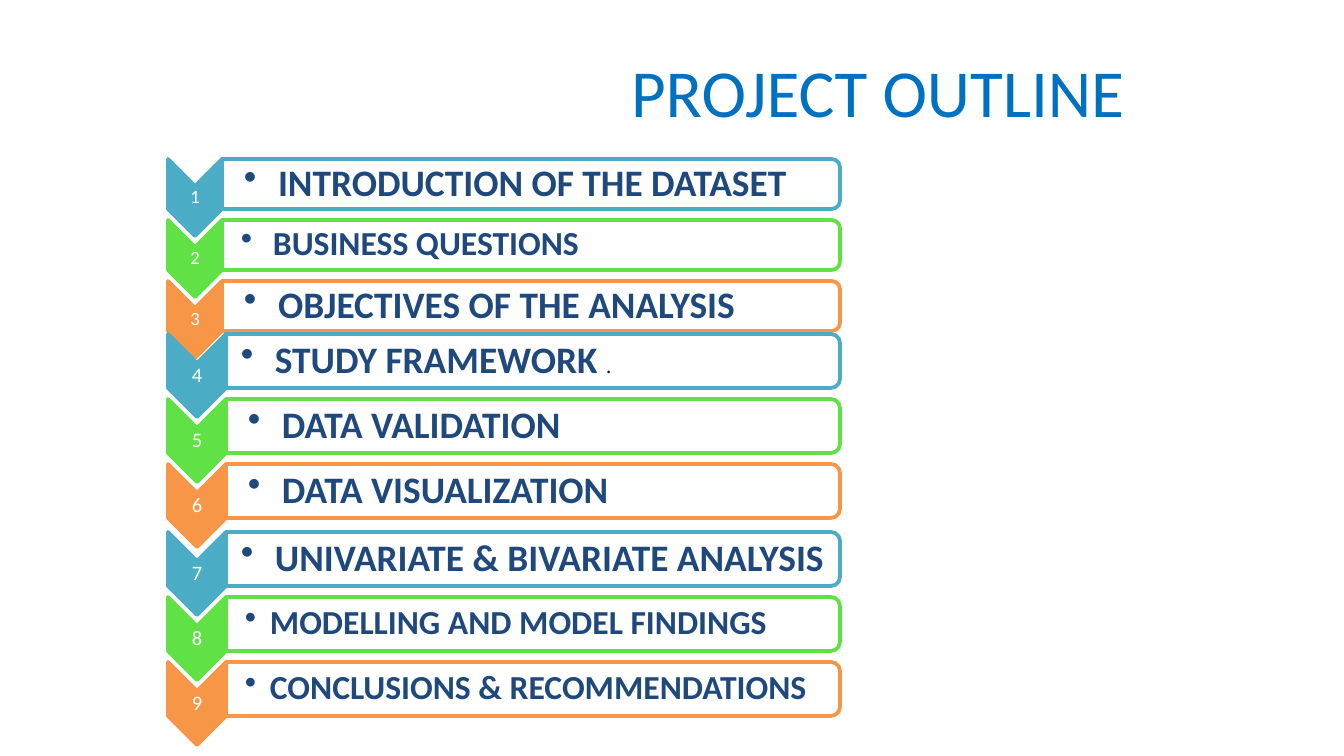
from lxml import etree
from pptx import Presentation
from pptx.dml.color import RGBColor
from pptx.enum.shapes import MSO_SHAPE
from pptx.enum.text import MSO_ANCHOR, PP_ALIGN
from pptx.oxml.ns import qn
from pptx.util import Emu, Pt

CHEVRON, BAR = MSO_SHAPE.CHEVRON, MSO_SHAPE.ROUND_2_SAME_RECTANGLE
MIDDLE, CENTER, LEFT = MSO_ANCHOR.MIDDLE, PP_ALIGN.CENTER, PP_ALIGN.LEFT

TITLE = "PROJECT OUTLINE"
# Each item: runs, type size, left inset and hanging indent in px
BLOCKS = [
    [
        (["INTRODUCTION OF THE DATASET"], 20, 22, 34),
        (["BUSINESS QUESTIONS"], 18, 19, 32),
        (["OBJECTIVES OF THE ANALYSIS"], 20, 22, 34),
    ],
    [
        (["STUDY FRAMEWORK ", "."], 20, 15, 34),
        (["DATA VALIDATION"], 20, 22, 34),
        (["DATA VISUALIZATION"], 20, 22, 34),
    ],
    [
        (["UNIVARIATE & BIVARIATE ANALYSIS"], 20, 15, 34),
        (["MODELLING AND MODEL FINDINGS"], 18, 19, 25),
        (["CONCLUSIONS & RECOMMENDATIONS"], 18, 19, 25),
    ],
]
# Geometry of each block in px
SMALL = dict(pitch=61, chevron_w=54, chevron_h=77, bar_h=50, number=10)
LARGE = dict(pitch=65, chevron_w=58, chevron_h=83, bar_h=54, number=11)
LAYOUTS = [dict(SMALL, top=159), dict(LARGE, top=334), dict(LARGE, top=532)]
LEFT_EDGE, RIGHT_EDGE, PAD = 168, 840, 2

THEME = dict(
    font="Calibri", title="0070C0", title_size=36, label="1F497D",
    number="FFFFFF", dot="000000", dot_size=11, bar="FFFFFF", bar_alpha=90,
    accents=["4BACC6", "60E146", "F79646"], line=2,
)


def px(n):
    return Emu(round(n * 914400 / 134.4))


def box(x, y, w, h):
    return [px(n) for n in (x, y, w, h)]


def set_frame(tf, **margins):
    tf.word_wrap = True
    tf.vertical_anchor = MIDDLE
    for side, n in margins.items():
        setattr(tf, f"margin_{side}", px(n))


def add_run(p, text, size, color, bold=False):
    r = p.add_run()
    r.text = text
    for name, value in dict(name=THEME["font"], size=Pt(size), bold=bold).items():
        setattr(r.font, name, value)
    r.font.color.rgb = RGBColor.from_string(color)


def add_turned(shapes, kind, x, y, w, h, fill, line):
    """Add a shape turned 90 degrees that covers the given box."""
    sp = shapes.add_shape(kind, *box(x + (w - h) / 2, y + (h - w) / 2, h, w))
    sp.rotation = 90
    sp.shadow.inherit = False
    sp.fill.solid()
    sp.fill.fore_color.rgb = RGBColor.from_string(fill)
    sp.line.color.rgb = RGBColor.from_string(line)
    sp.line.width = Pt(THEME["line"])
    return sp


def add_text(shapes, x, y, w, h, align, inset=1):
    tf = shapes.add_textbox(*box(x, y, w, h)).text_frame
    set_frame(tf, left=inset, right=1, top=1, bottom=1)
    p = tf.paragraphs[0]
    p.alignment = align
    p.line_spacing = 0.9
    return p


def set_bullet(p, indent):
    p.level = 1
    pPr = p._p.get_or_add_pPr()
    pPr.set("marL", str(px(indent)))
    pPr.set("indent", str(-px(indent)))
    etree.SubElement(pPr, qn("a:buChar")).set("char", "•")


def add_item(shapes, number, item, y, accent, lay):
    runs, size, inset, indent = item
    cw, ch, bh = lay["chevron_w"], lay["chevron_h"], lay["bar_h"]
    add_turned(shapes, CHEVRON, LEFT_EDGE, y, cw, ch, accent, accent)
    p = add_text(shapes, LEFT_EDGE, y + cw / 2, cw, ch - cw, CENTER)
    add_run(p, str(number), lay["number"], THEME["number"])

    x = LEFT_EDGE + cw
    w = RIGHT_EDGE - x
    sp = add_turned(shapes, BAR, x, y, w, bh, THEME["bar"], accent)
    color = sp.fill._xPr.find(qn("a:solidFill"))[0]
    etree.SubElement(color, qn("a:alpha")).set("val", str(THEME["bar_alpha"] * 1000))

    p = add_text(shapes, x, y + PAD, w - PAD, bh - 2 * PAD, LEFT, inset)
    set_bullet(p, indent)
    add_run(p, runs[0], size, THEME["label"], True)
    for text in runs[1:]:
        add_run(p, text, THEME["dot_size"], THEME["dot"])


def main():
    prs = Presentation()
    prs.slide_width, prs.slide_height = px(1344), px(756)
    s = prs.slides.add_slide(prs.slide_layouts[5])

    title = s.shapes.title
    title.left, title.top, title.width, title.height = box(70, 34, 1213, 113)
    set_frame(title.text_frame, left=416)
    p = title.text_frame.paragraphs[0]
    p.alignment = CENTER
    add_run(p, TITLE, THEME["title_size"], THEME["title"])

    number = 1
    for items, lay in zip(BLOCKS, LAYOUTS):
        group = s.shapes.add_group_shape()
        for i, (item, accent) in enumerate(zip(items, THEME["accents"])):
            add_item(group.shapes, number, item, lay["top"] + i * lay["pitch"], accent, lay)
            number += 1

    prs.save("out.pptx")


if __name__ == "__main__":
    main()
